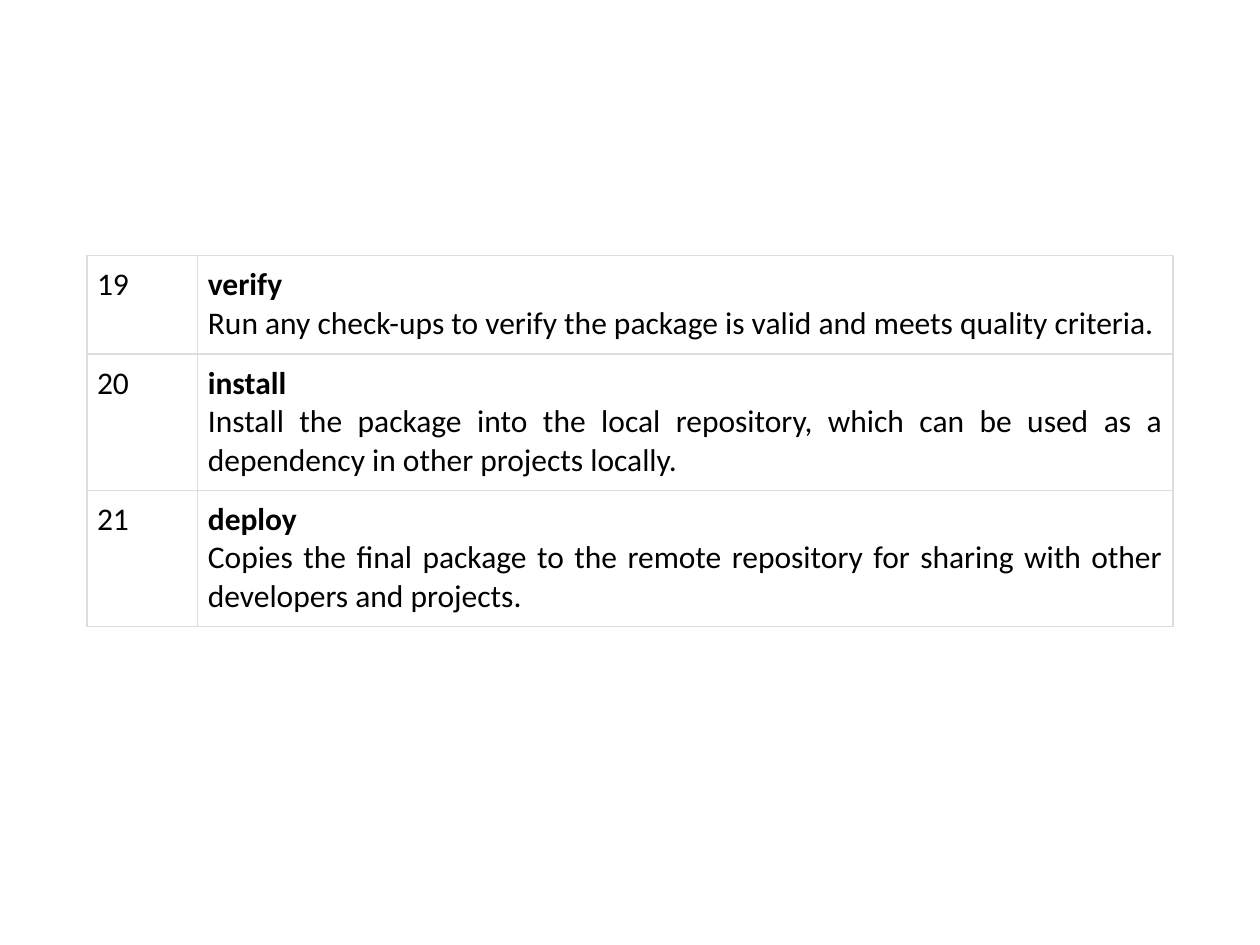
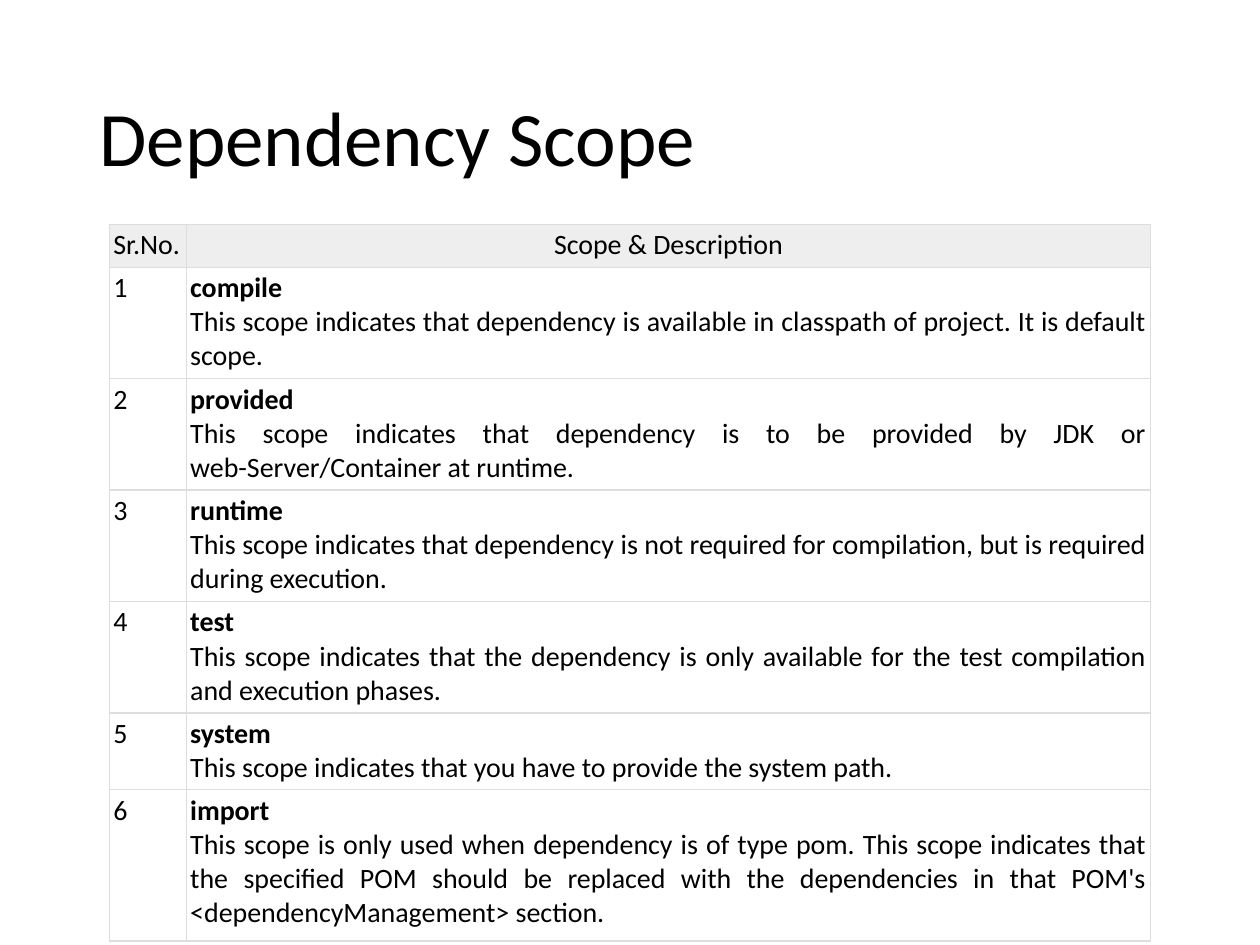
import lxml.etree
import pptx
import pptx.dml.color
import pptx.enum.text
import pptx.oxml.ns
import pptx.util
from dataclasses import dataclass

Inches = pptx.util.Inches
ALIGN = pptx.enum.text.PP_ALIGN


@dataclass(frozen=True)
class Theme:
    font: str = "Calibri"
    ink: str = "000000"
    border: str = "DDDDDD"
    header_fill: str = "EEEEEE"
    title_size: int = 44
    phase_size: int = 18
    scope_size: int = 16
    border_width: float = 0.75


THEME = Theme()

PHASES = [
    ("19", "verify", "Run any check-ups to verify the package is valid and meets quality criteria."),
    ("20", "install", "Install the package into the local repository, which can be used as a "
                      "dependency in other projects locally."),
    ("21", "deploy", "Copies the final package to the remote repository for sharing with other "
                     "developers and projects."),
]

SCOPE_HEADER = ("Sr.No.", "Scope & Description")
SCOPES = [
    ("1", "compile", "This scope indicates that dependency is available in classpath of project. "
                     "It is default scope."),
    ("2", "provided", "This scope indicates that dependency is to be provided by JDK or "
                      "web-Server/Container at runtime."),
    ("3", "runtime", "This scope indicates that dependency is not required for compilation, "
                     "but is required during execution."),
    ("4", "test", "This scope indicates that the dependency is only available for the test "
                  "compilation and execution phases."),
    ("5", "system", "This scope indicates that you have to provide the system path."),
    ("6", "import", "This scope is only used when dependency is of type pom. This scope indicates "
                    "that the specified POM should be replaced with the dependencies in that POM's "
                    "<dependencyManagement> section."),
]


def set_attrs(obj, **values):
    for name, value in values.items():
        setattr(obj, name, value)


def write(p, text, size, bold=False, align=ALIGN.LEFT):
    """Fill one paragraph with a single formatted run."""
    p.alignment = align
    r = p.add_run()
    r.text = text
    set_attrs(r.font, name=THEME.font, size=pptx.util.Pt(size), bold=bold)
    r.font.color.rgb = pptx.dml.color.RGBColor.from_string(THEME.ink)


def add_borders(cell):
    """Draw the four cell edges; they must precede the fill in the XML."""
    props = cell._tc.get_or_add_tcPr()
    qn = pptx.oxml.ns.qn
    for i, edge in enumerate(("a:lnL", "a:lnR", "a:lnT", "a:lnB")):
        ln = lxml.etree.Element(qn(edge), w=str(pptx.util.Pt(THEME.border_width)))
        fill = lxml.etree.SubElement(ln, qn("a:solidFill"))
        lxml.etree.SubElement(fill, qn("a:srgbClr"), val=THEME.border)
        props.insert(i, ln)


def format_cell(cell, inset, fill=None):
    margins = ("margin_left", "margin_right", "margin_top", "margin_bottom")
    set_attrs(cell, **dict.fromkeys(margins, Inches(inset)))
    if fill:
        cell.fill.solid()
        cell.fill.fore_color.rgb = pptx.dml.color.RGBColor.from_string(fill)
    else:
        cell.fill.background()
    add_borders(cell)


def add_title(slide, text):
    sp = slide.shapes.title
    set_attrs(sp, left=Inches(0.69), top=Inches(0.4), width=Inches(8.62), height=Inches(1.45))
    sp.text_frame.vertical_anchor = pptx.enum.text.MSO_ANCHOR.MIDDLE
    p = sp.text_frame.paragraphs[0]
    p.line_spacing = 0.9
    write(p, text, THEME.title_size)


def add_term_table(slide, left, top, widths, heights, entries, size, inset, header=None):
    """Table of numbered terms: bold name over a justified description."""
    shape = slide.shapes.add_table(len(heights), len(widths), Inches(left), Inches(top),
                                   Inches(sum(widths)), Inches(sum(heights)))
    table = shape.table
    set_attrs(table, first_row=False, horz_banding=False)
    for column, width in zip(table.columns, widths):
        column.width = Inches(width)
    for row, height in zip(table.rows, heights):
        row.height = Inches(height)

    # Header row
    rows = list(table.rows)
    if header:
        for cell, text, align in zip(rows.pop(0).cells, header, (ALIGN.LEFT, ALIGN.CENTER)):
            format_cell(cell, inset, THEME.header_fill)
            write(cell.text_frame.paragraphs[0], text, size, align=align)

    # Entries
    for row, (number, term, description) in zip(rows, entries):
        number_cell, term_cell = row.cells
        for cell in row.cells:
            format_cell(cell, inset)
        write(number_cell.text_frame.paragraphs[0], number, size)
        tf = term_cell.text_frame
        write(tf.paragraphs[0], term, size, bold=True, align=ALIGN.JUSTIFY)
        write(tf.add_paragraph(), description, size, align=ALIGN.JUSTIFY)


def main():
    prs = pptx.Presentation()
    set_attrs(prs, slide_width=Inches(10), slide_height=Inches(7.5))
    title_only, blank = prs.slide_layouts[5], prs.slide_layouts[6]

    # Last lifecycle phases
    add_term_table(prs.slides.add_slide(blank), 0.69, 2.03, (0.88, 7.74), (0.78, 1.08, 1.08),
                   PHASES, THEME.phase_size, inset=0.08)

    # Dependency scopes
    slide = prs.slides.add_slide(title_only)
    add_title(slide, "Dependency Scope")
    add_term_table(slide, 0.87, 1.78, (0.61, 7.65), [0.34] + [0.885] * 4 + [0.61, 1.2],
                   SCOPES, THEME.scope_size, inset=0.03, header=SCOPE_HEADER)

    prs.save("out.pptx")


if __name__ == "__main__":
    main()
